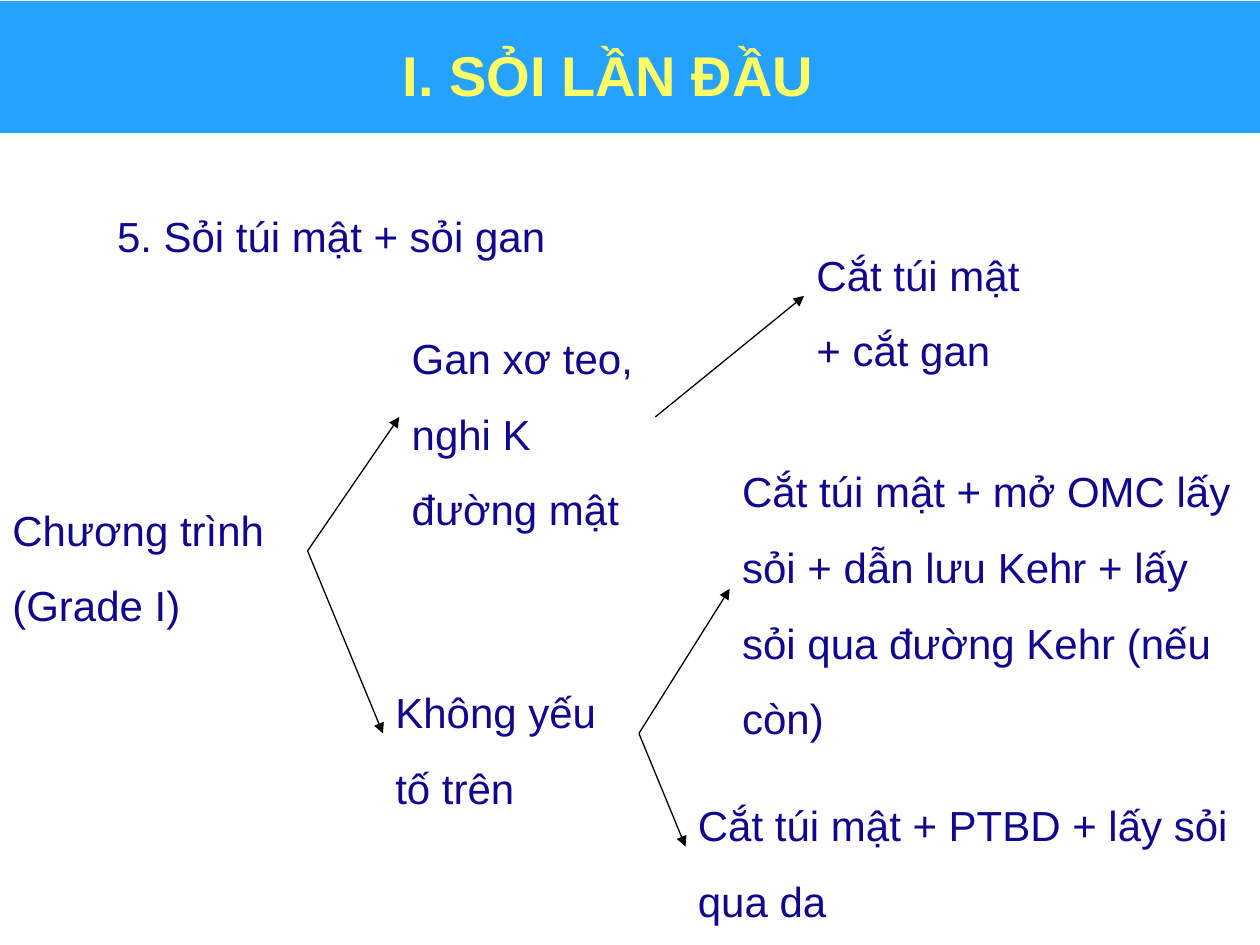
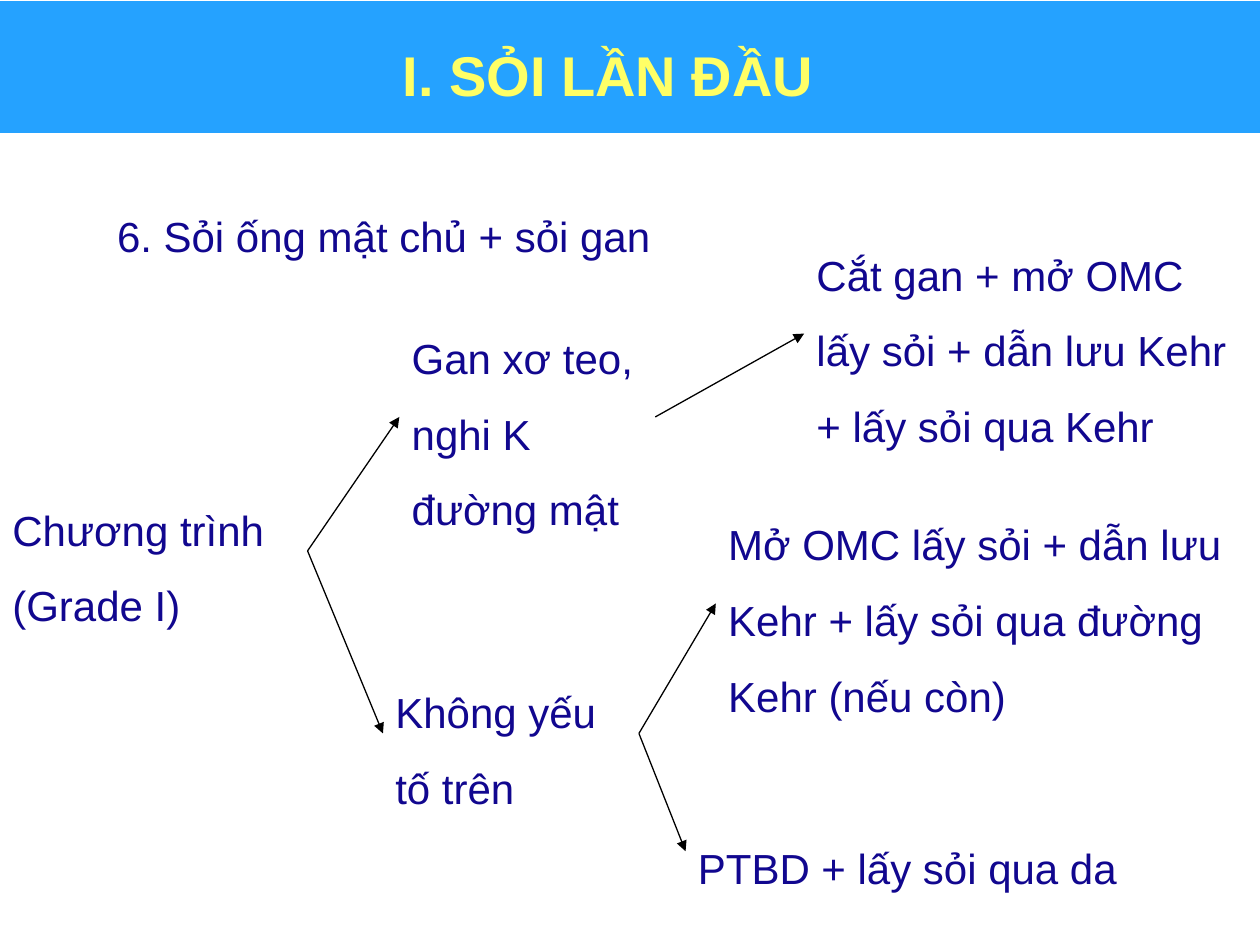
from lxml import etree
from pptx import Presentation
from pptx.dml.color import RGBColor
from pptx.enum import shapes, text
from pptx.oxml import ns
from pptx.util import Cm, Pt

TOP, LEFT, BOTTOM, RIGHT = range(4)


def color(value):
    return RGBColor.from_string(value)


class Pages:
    font = "Arial"
    band_fill = "25A2FF"
    band_line = "FFFFFF"
    title_color = "FFFF66"
    body_color = "11078F"
    arrow_color = "000000"

    def __init__(self):
        self.deck = Presentation()
        self.deck.slide_width, self.deck.slide_height = Cm(25.4), Cm(19.05)
        self.page = None

    def add_page(self, title):
        self.page = self.deck.slides.add_slide(self.deck.slide_layouts[6])
        self.add_band()
        box = self.add_text(title, (1.47, 0.43, 21.59, 2.11), 32, self.title_color, 1)
        box.text_frame.vertical_anchor = text.MSO_ANCHOR.MIDDLE
        para = box.text_frame.paragraphs[0]
        para.alignment = text.PP_ALIGN.CENTER
        para.font.bold = True

    def add_band(self):
        band = self.page.shapes.add_shape(
            shapes.MSO_SHAPE.RECTANGLE, Cm(-0.18), Cm(0), Cm(25.63), Cm(2.69))
        band.shadow.inherit = False
        band.fill.solid()
        band.fill.fore_color.rgb = color(self.band_fill)
        band.line.color.rgb = color(self.band_line)
        band.line.width = Pt(0.75)

    def add_text(self, wording, place, size=24, ink=body_color, spacing=1.5):
        box = self.page.shapes.add_textbox(*map(Cm, place))
        box.text_frame.word_wrap = True
        para = box.text_frame.paragraphs[0]
        para.text = wording
        para.line_spacing = spacing
        para.font.name = self.font
        para.font.size = Pt(size)
        para.font.color.rgb = color(ink)
        return box

    def add_arrow(self, source, target):
        arrow = self.page.shapes.add_connector(
            shapes.MSO_CONNECTOR.STRAIGHT, 0, 0, 0, 0)
        arrow.begin_connect(source, RIGHT)
        arrow.end_connect(target, LEFT)
        arrow.line.color.rgb = color(self.arrow_color)
        arrow.line.width = Pt(0.75)
        etree.SubElement(arrow.line._get_or_add_ln(), ns.qn("a:tailEnd"), type="triangle")
        etree.SubElement(arrow._element.spPr, ns.qn("a:effectLst"))

    def add_decision_tree(self, heading, resection, drainage, percutaneous):
        self.add_page("I. SỎI LẦN ĐẦU")
        self.add_text(heading, (2.11, 3.61, 22.23, 3.15))
        elective = self.add_text("Chương trình (Grade I)", (0, 9.53, 6.2, 3.15))
        atrophy = self.add_text("Gan xơ teo, nghi K đường mật", (8.05, 6.07, 5.16, 4.67))
        no_factor = self.add_text("Không yếu tố trên", (7.72, 13.21, 5.16, 3.15))
        treatments = [self.add_text(*item) for item in (resection, drainage, percutaneous)]
        self.add_arrow(elective, atrophy)
        self.add_arrow(elective, no_factor)
        for source, target in zip((atrophy, no_factor, no_factor), treatments):
            self.add_arrow(source, target)


def main():
    pages = Pages()
    pages.add_decision_tree(
        "5. Sỏi túi mật + sỏi gan",
        ("Cắt túi mật + cắt gan", (16.21, 4.39, 5.16, 3.15)),
        ("Cắt túi mật + mở OMC lấy sỏi + dẫn lưu Kehr + lấy sỏi qua đường Kehr (nếu còn)",
         (14.71, 8.76, 10.59, 6.22)),
        ("Cắt túi mật + PTBD + lấy sỏi qua da", (13.82, 15.49, 11.58, 3.15)))
    pages.add_decision_tree(
        "6. Sỏi ống mật chủ + sỏi gan",
        ("Cắt gan + mở OMC lấy sỏi + dẫn lưu Kehr + lấy sỏi qua Kehr",
         (16.21, 4.39, 9.02, 4.67)),
        ("Mở OMC lấy sỏi + dẫn lưu Kehr + lấy sỏi qua đường Kehr (nếu còn)",
         (14.43, 9.83, 10.59, 4.67)),
        ("PTBD + lấy sỏi qua da", (13.82, 16.36, 11.58, 1.6)))
    pages.deck.save("out.pptx")


if __name__ == "__main__":
    main()
